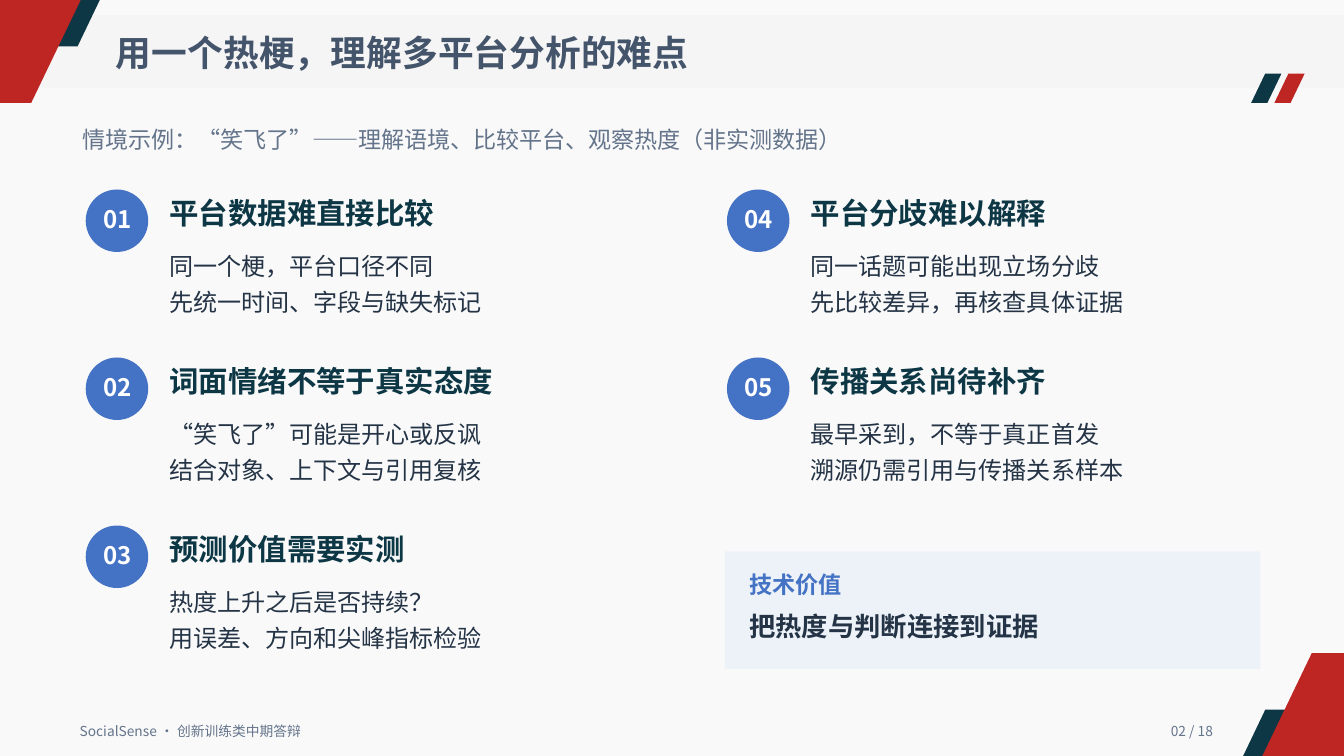
"""Build the slide on why analysing one trending meme across platforms is hard."""
from dataclasses import dataclass
from typing import Optional

from lxml import etree
from pptx import Presentation
from pptx.dml.color import RGBColor
from pptx.enum import shapes, text
from pptx.oxml import ns
from pptx import util as u


@dataclass(frozen=True)
class Style:
    size: float
    color: str
    bold: bool = False
    align: text.PP_ALIGN = text.PP_ALIGN.LEFT
    leading: Optional[float] = None


@dataclass(frozen=True)
class Theme:
    font: str = "Noto Sans CJK SC"
    navy: str = "0D3745"
    red: str = "BE2623"
    blue: str = "4472C4"
    paper: str = "F5F5F5"
    band: str = "F2F2F2"
    panel: str = "EDF2F8"
    title: Style = Style(25.5, "44546A", True)
    subtitle: Style = Style(16.5, "64748B")
    footer: Style = Style(9.8, "64748B")
    page: Style = Style(9.8, "64748B", align=text.PP_ALIGN.RIGHT)
    number: Style = Style(17.2, "FFFFFF", True, text.PP_ALIGN.CENTER)
    heading: Style = Style(21, "0D3745", True)
    body: Style = Style(17.2, "243446", leading=25.8)
    value_label: Style = Style(16.5, "4472C4", True)
    value: Style = Style(18.8, "243446", True)


@dataclass(frozen=True)
class Box:
    left: float
    top: float
    width: float
    height: float

    def emu(self) -> tuple:
        return tuple(u.Inches(v) for v in (self.left, self.top, self.width, self.height))


@dataclass(frozen=True)
class Difficulty:
    heading: str
    lines: tuple


THEME = Theme()
WIDTH, HEIGHT = 13.33, 7.5
ROWS, COLUMN_PITCH, ROW_PITCH = 3, 6.36, 5 / 3
PARALLELOGRAM = shapes.MSO_SHAPE.PARALLELOGRAM
CORNER = (
    (THEME.navy, ((0, 0), (1, 0), (0.78, 0.46), (0, 0.46))),
    (THEME.red, ((0, 0), (0.81, 0), (0.32, 1.02), (0, 1.02))),
)
DIFFICULTIES = (
    Difficulty("平台数据难直接比较", ("同一个梗，平台口径不同", "先统一时间、字段与缺失标记")),
    Difficulty("词面情绪不等于真实态度", ("“笑飞了”可能是开心或反讽", "结合对象、上下文与引用复核")),
    Difficulty("预测价值需要实测", ("热度上升之后是否持续？", "用误差、方向和尖峰指标检验")),
    Difficulty("平台分歧难以解释", ("同一话题可能出现立场分歧", "先比较差异，再核查具体证据")),
    Difficulty("传播关系尚待补齐", ("最早采到，不等于真正首发", "溯源仍需引用与传播关系样本")),
)


def paint(shape, color: str, alpha: Optional[int] = None) -> None:
    """Give a shape a flat fill without line or shadow."""
    shape.shadow.inherit = False
    shape.line.fill.background()
    shape.fill.solid()
    shape.fill.fore_color.rgb = RGBColor.from_string(color)
    if alpha is not None:
        rgb = shape.fill._xPr.find(".//" + ns.qn("a:srgbClr"))
        etree.SubElement(rgb, ns.qn("a:alpha"), val=str(alpha * 1000))


def add_block(slide, kind, box: Box, color: str, alpha: Optional[int] = None,
              slant: Optional[float] = None) -> None:
    """Add a preset shape."""
    block = slide.shapes.add_shape(kind, *box.emu())
    paint(block, color, alpha)
    if slant is not None:
        block.adjustments[0] = slant


def write(frame, lines: tuple, style: Style) -> None:
    """Fill a text frame with one styled paragraph of fixed lines."""
    frame.margin_left = frame.margin_top = frame.margin_right = frame.margin_bottom = 0
    frame.word_wrap = False
    frame.auto_size = text.MSO_AUTO_SIZE.NONE
    frame.vertical_anchor = text.MSO_ANCHOR.TOP
    paragraph = frame.paragraphs[0]
    for index, line in enumerate(lines):
        if index:
            paragraph.add_line_break()
        paragraph.add_run().text = line
    paragraph.alignment = style.align
    if style.leading:
        paragraph.line_spacing = u.Pt(style.leading)
    font = paragraph.font
    font.size, font.bold, font.name = u.Pt(style.size), style.bold, THEME.font
    font.color.rgb = RGBColor.from_string(style.color)
    latin = paragraph._p.pPr.find(".//" + ns.qn("a:latin"))
    latin.addnext(latin.makeelement(ns.qn("a:ea"), {"typeface": THEME.font}))


def add_text(slide, box: Box, style: Style, *lines: str) -> None:
    """Add a text box."""
    write(slide.shapes.add_textbox(*box.emu()).text_frame, lines, style)


def add_corner(slide, x: float, y: float, direction: int) -> None:
    """Draw the slanted corner pieces, growing inwards from a slide corner."""
    for color, offsets in CORNER:
        points = [(u.Inches(x + direction * dx), u.Inches(y + direction * dy)) for dx, dy in offsets]
        outline = slide.shapes.build_freeform(*points[0])
        outline.add_line_segments(points[1:], close=True)
        paint(outline.convert_to_shape(), color)


def add_backdrop(slide) -> None:
    """Draw the page tint, title band and accents."""
    add_block(slide, shapes.MSO_SHAPE.RECTANGLE, Box(0, 0, WIDTH, HEIGHT), THEME.paper, 50)
    add_block(slide, PARALLELOGRAM, Box(0, 0.15, WIDTH, 0.72), THEME.band, 50, 0)
    for left, color in ((12.41, THEME.navy), (12.64, THEME.red)):
        add_block(slide, PARALLELOGRAM, Box(left, 0.73, 0.3, 0.29), color, slant=0.48)
    add_corner(slide, -0.01, 0, 1)
    add_corner(slide, WIDTH, HEIGHT, -1)


def add_title(slide, box: Box, title: str) -> None:
    """Place the title placeholder above the backdrop."""
    heading = slide.shapes.title
    slide.shapes._spTree.append(heading._element)
    heading.left, heading.top, heading.width, heading.height = box.emu()
    write(heading.text_frame, (title,), THEME.title)


def add_difficulty(slide, index: int, difficulty: Difficulty) -> None:
    """Draw one numbered difficulty in its grid cell."""
    column, row = divmod(index, ROWS)
    left, top = 0.85 + column * COLUMN_PITCH, 1.88 + row * ROW_PITCH
    add_block(slide, shapes.MSO_SHAPE.OVAL, Box(left, top, 0.62, 0.62), THEME.blue)
    add_text(slide, Box(left + 0.16, top + 0.15, 0.31, 0.37), THEME.number, f"{index + 1:02}")
    add_text(slide, Box(left + 0.83, top + 0.06, 4.32, 0.45), THEME.heading, difficulty.heading)
    add_text(slide, Box(left + 0.83, top + 0.54, 4.32, 0.83), THEME.body, *difficulty.lines)


def main() -> None:
    """Assemble and save the slide."""
    deck = Presentation()
    deck.slide_width, deck.slide_height = u.Inches(WIDTH), u.Inches(HEIGHT)
    slide = deck.slides.add_slide(deck.slide_layouts[5])
    add_backdrop(slide)
    add_title(slide, Box(1.15, 0.31, 8.18, 0.55), "用一个热梗，理解多平台分析的难点")
    add_text(slide, Box(0.82, 1.24, 11.67, 0.35), THEME.subtitle,
             "情境示例：“笑飞了”——理解语境、比较平台、观察热度（非实测数据）")
    add_text(slide, Box(0.79, 7.17, 2.29, 0.21), THEME.footer, "SocialSense · 创新训练类中期答辩")
    add_text(slide, Box(11.54, 7.17, 0.49, 0.21), THEME.page, "02 / 18")
    for index, difficulty in enumerate(DIFFICULTIES):
        add_difficulty(slide, index, difficulty)
    add_block(slide, shapes.MSO_SHAPE.RECTANGLE, Box(7.19, 5.47, 5.31, 1.17), THEME.panel)
    add_text(slide, Box(7.43, 5.66, 3.65, 0.35), THEME.value_label, "技术价值")
    add_text(slide, Box(7.43, 6.05, 4.84, 0.4), THEME.value, "把热度与判断连接到证据")
    deck.save("out.pptx")


if __name__ == "__main__":
    main()
